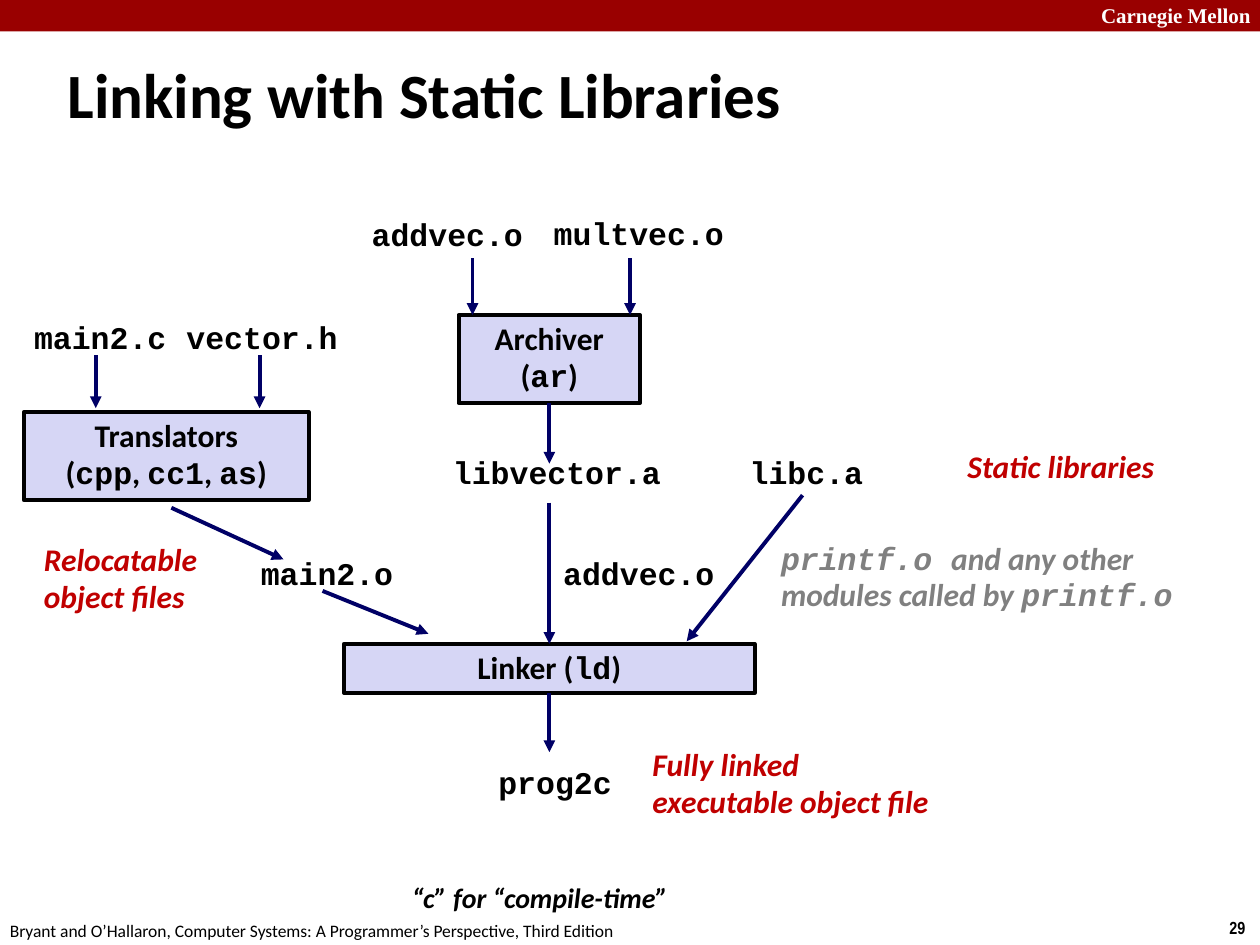
from dataclasses import dataclass
from typing import Optional

import pptx
import pptx.dml.color
import pptx.enum.shapes
import pptx.enum.text
import pptx.oxml.ns
import pptx.util
from lxml import etree
from pptx.util import Inches

COLOURS = {
    "banner": "990000",
    "white": "FFFFFF",
    "black": "000000",
    "box": "D6D6F5",
    "arrow": "000066",
    "caption": "C00000",
    "note": "808080",
}
LEFT = pptx.enum.text.PP_ALIGN.LEFT
CENTER = pptx.enum.text.PP_ALIGN.CENTER
TOP_SIDE, BOTTOM_SIDE = 0, 2


@dataclass
class Style:
    size: float = 18
    font: str = "Calibri"
    colour: str = "black"
    bold: bool = True
    italic: bool = False
    align: int = LEFT
    spacing: Optional[float] = 0.98
    wrap: bool = False
    anchor: int = pptx.enum.text.MSO_ANCHOR.TOP


@dataclass
class Text:
    lines: list[str]
    left: float
    top: float
    width: float
    height: float
    style: Style


@dataclass
class Arrow:
    start: tuple[float, float]
    end: tuple[float, float]
    start_box: Optional[str] = None
    end_box: Optional[str] = None


BOX = Style(align=CENTER, wrap=True)
FILE = Style(font="Courier New", align=CENTER, spacing=0.94)
CAPTION = Style(colour="caption", italic=True)
NOTE = Style(colour="note", italic=True)
TITLE = Style(size=36, spacing=None, wrap=True, anchor=pptx.enum.text.MSO_ANCHOR.MIDDLE)
BANNER = Style(size=12, font="Times New Roman", colour="white", spacing=None, wrap=True)
PAGE_NUMBER = Style(size=10, font="Arial Narrow", spacing=None)
FOOTER = Style(size=10, bold=False, spacing=None)
REMARK = Style(size=16, italic=True, spacing=None)

BOXES = {
    "translators": Text(["Translators", "(`cpp`, `cc1`, `as`)"], 0.19, 3.27, 2.26, 0.7, BOX),
    "archiver": Text(["Archiver", "(`ar`)"], 3.64, 2.5, 1.44, 0.7, BOX),
    "linker": Text(["Linker (`ld`)"], 2.73, 5.11, 3.26, 0.39, BOX),
}

FILES = [
    ("addvec.o", 2.85, 1.68, 1.4),
    ("multvec.o", 4.29, 1.67, 1.56),
    ("main2.c", 0.17, 2.5, 1.25),
    ("vector.h", 1.38, 2.5, 1.4),
    ("libvector.a", 3.49, 3.57, 1.86),
    ("libc.a", 5.85, 3.57, 1.1),
    ("main2.o", 1.97, 4.37, 1.25),
    ("addvec.o", 4.37, 4.37, 1.4),
    ("prog2c", 3.85, 6.03, 1.11),
]

TEXTS = [
    Text(["Carnegie Mellon"], 8.64, -0.03, 1.43, 0.3, BANNER),
    Text(["29"], 9.66, 7.23, 0.34, 0.27, PAGE_NUMBER),
    Text(
        ["Bryant and O’Hallaron, Computer Systems: A Programmer’s Perspective, Third Edition"],
        -0.02, 7.25, 5.08, 0.27, FOOTER,
    ),
    Text(["Linking with Static Libraries"], 0.44, 0.31, 6.14, 0.86, TITLE),
    Text(["Static libraries"], 7.58, 3.51, 1.7, 0.4, CAPTION),
    Text(["Relocatable", "object files"], 0.25, 4.25, 1.43, 0.7, CAPTION),
    Text(["Fully linked", "executable object file"], 5.08, 5.88, 2.42, 0.7, CAPTION),
    Text(
        ["`printf.o `and any other", "modules called by `printf.o`"],
        6.1, 4.25, 3.48, 0.69, NOTE,
    ),
    Text(["“c” for “compile-time”"], 3.17, 6.94, 2.38, 0.37, REMARK),
]

ARROWS = [
    Arrow((0.76, 2.82), (0.76, 3.24)),
    Arrow((2.06, 2.82), (2.06, 3.24)),
    Arrow((3.75, 2.05), (3.75, 2.5)),
    Arrow((5, 2.05), (5, 2.5)),
    Arrow((1.36, 4.03), (2.25, 4.44)),
    Arrow((2.56, 4.69), (3.4, 5.03)),
    Arrow((6.37, 3.93), (5.45, 5.09)),
    Arrow((4.36, 3.2), (4.36, 3.68), start_box="archiver"),
    Arrow((4.36, 3.99), (4.36, 5.11), end_box="linker"),
    Arrow((4.36, 5.5), (4.36, 5.97), start_box="linker"),
]


def rgb(name: str) -> pptx.dml.color.RGBColor:
    return pptx.dml.color.RGBColor.from_string(COLOURS[name])


def write_lines(frame, lines: list[str], style: Style) -> None:
    """Write one paragraph per line; parts between backticks are set as code."""
    frame.word_wrap = style.wrap
    frame.vertical_anchor = style.anchor
    for index, line in enumerate(lines):
        para = frame.add_paragraph() if index else frame.paragraphs[0]
        para.alignment = style.align
        para.line_spacing = 0.94 if line.startswith("`") else style.spacing
        para.font.size = pptx.util.Pt(style.size)
        para.font.bold = style.bold
        para.font.italic = style.italic
        para.font.color.rgb = rgb(style.colour)
        pieces = line.split("`")
        if len(pieces) == 1:
            para.font.name = style.font
        for position, piece in enumerate(pieces):
            if not piece:
                continue
            span = para.add_run()
            span.text = piece
            if len(pieces) > 1:
                span.font.name = "Courier New" if position % 2 else style.font


def add_text(page, text: Text) -> None:
    box = page.shapes.add_textbox(
        Inches(text.left), Inches(text.top), Inches(text.width), Inches(text.height))
    write_lines(box.text_frame, text.lines, text.style)


def add_rectangle(page, left: float, top: float, width: float, height: float, fill: str):
    box = page.shapes.add_shape(
        pptx.enum.shapes.MSO_SHAPE.RECTANGLE,
        Inches(left), Inches(top), Inches(width), Inches(height))
    box.shadow.inherit = False
    box.fill.solid()
    box.fill.fore_color.rgb = rgb(fill)
    box.line.fill.background()
    return box


def add_tool_box(page, text: Text):
    box = add_rectangle(page, text.left, text.top, text.width, text.height, "box")
    box.line.color.rgb = rgb("black")
    box.line.width = pptx.util.Pt(2.25)
    write_lines(box.text_frame, text.lines, text.style)
    return box


def add_arrow(page, arrow: Arrow, boxes: dict) -> None:
    line = page.shapes.add_connector(
        pptx.enum.shapes.MSO_CONNECTOR.STRAIGHT,
        *map(Inches, arrow.start), *map(Inches, arrow.end))
    if arrow.start_box:
        line.begin_connect(boxes[arrow.start_box], BOTTOM_SIDE)
    if arrow.end_box:
        line.end_connect(boxes[arrow.end_box], TOP_SIDE)
    line.line.color.rgb = rgb("arrow")
    line.line.width = pptx.util.Pt(2.25)
    qn = pptx.oxml.ns.qn
    properties = line._element.spPr
    etree.SubElement(properties.find(qn("a:ln")), qn("a:tailEnd"), type="triangle")
    etree.SubElement(properties, qn("a:effectLst"))


def main() -> None:
    deck = pptx.Presentation()
    deck.slide_width, deck.slide_height = Inches(10), Inches(7.5)
    page = deck.slides.add_slide(deck.slide_layouts[6])
    add_rectangle(page, 0, 0, 10, 0.25, "banner")
    boxes = {name: add_tool_box(page, text) for name, text in BOXES.items()}
    for name, left, top, width in FILES:
        add_text(page, Text([name], left, top, width, 0.39, FILE))
    for text in TEXTS:
        add_text(page, text)
    for arrow in ARROWS:
        add_arrow(page, arrow, boxes)
    deck.save("out.pptx")


if __name__ == "__main__":
    main()
